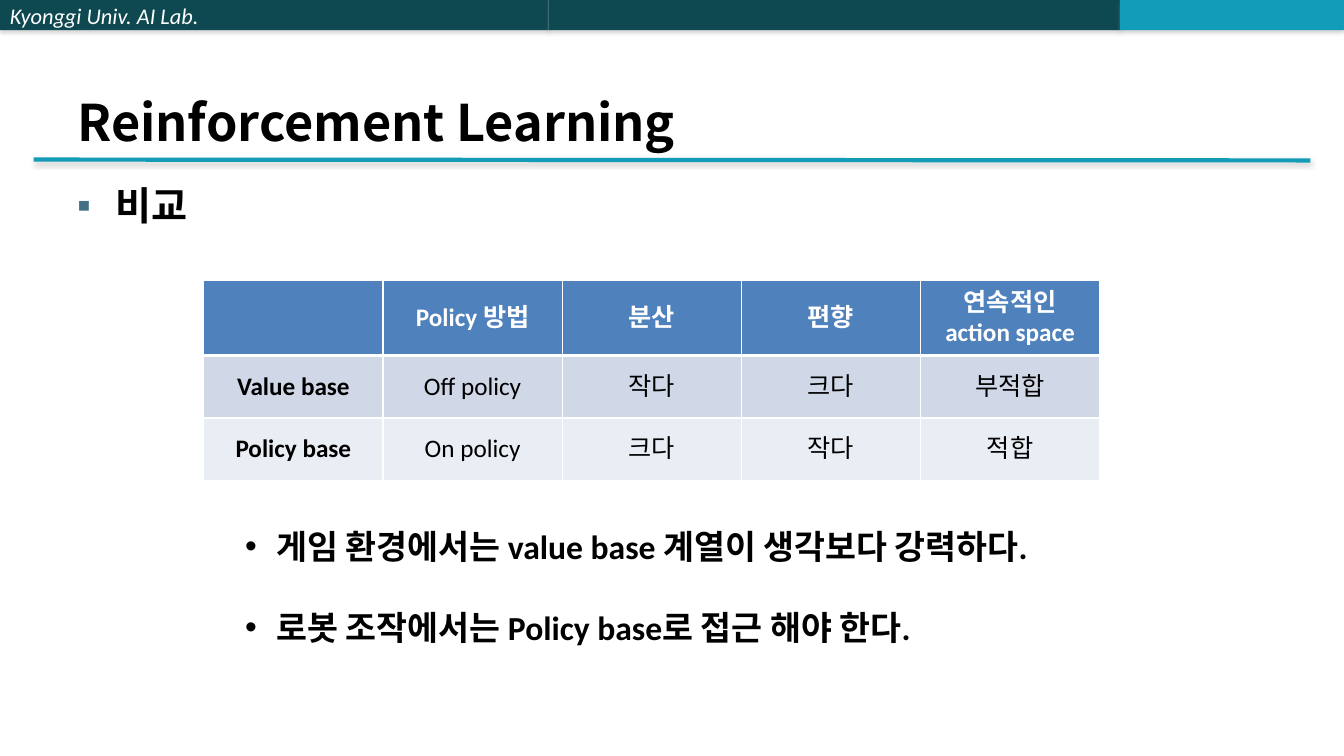
from lxml.etree import SubElement
from pptx import Presentation
from pptx.dml.color import RGBColor
from pptx.enum.shapes import MSO_CONNECTOR, MSO_SHAPE
from pptx.enum.text import MSO_ANCHOR as Anchor, PP_ALIGN as Align
from pptx.oxml.ns import qn
from pptx.util import Inches, Pt

SANS = "Calibri"
KOREAN = "Noto Sans CJK KR"
BLACK, WHITE = "000000", "FFFFFF"
DARK_TEAL, TEAL = "0E4851", "139CB7"
HEADER_BLUE, ROW_FILLS = "4F81BD", ("D0D8E8", "E9EDF4")

ROWS = [
    ["", "Policy 방법", "분산", "편향", "연속적인 action space"],
    ["Value base", "Off policy", "작다", "크다", "부적합"],
    ["Policy base", "On policy", "크다", "작다", "적합"],
]
CONCLUSIONS = [
    "게임 환경에서는 value base 계열이 생각보다 강력하다.",
    "로봇 조작에서는 Policy base로 접근 해야 한다.",
]


def color(hex_value):
    return RGBColor.from_string(hex_value)


def add_xml(parent, tag, **attributes):
    return SubElement(parent, qn(tag), attributes)


class SlideBuilder:
    """Places elements on a grid of 24 columns by 27 rows."""

    def __init__(self, presentation):
        self.column = presentation.slide_width / 24
        self.row = presentation.slide_height / 27
        self.slide = presentation.slides.add_slide(presentation.slide_layouts[5])

    def box(self, left, top, width, height):
        return (round(left * self.column), round(top * self.row),
                round(width * self.column), round(height * self.row))

    def format_runs(self, paragraph, size, ink=BLACK, font=SANS, bold=False, italic=False):
        for run in paragraph.runs:
            run.font.size = Pt(size)
            run.font.name = font
            run.font.bold = bold
            run.font.italic = italic
            run.font.color.rgb = color(ink)
            add_xml(run.font._element, "a:ea", typeface=font)

    def add_shadow(self, shape, opacity, distance):
        effects = add_xml(shape._element.spPr, "a:effectLst")
        shadow = add_xml(effects, "a:outerShdw", blurRad=str(Pt(3.1)),
                         dist=str(Pt(distance)), dir="5400000", rotWithShape="0")
        tint = add_xml(shadow, "a:srgbClr", val="808080")
        add_xml(tint, "a:alpha", val=str(opacity * 1000))

    def bar(self, left, width, fill, text=""):
        shape = self.slide.shapes.add_shape(MSO_SHAPE.RECTANGLE, *self.box(left, 0, width, 1.08))
        shape.fill.solid()
        shape.fill.fore_color.rgb = color(fill)
        shape.line.fill.background()
        self.add_shadow(shape, 35, 1.8)
        if text:
            frame = shape.text_frame
            frame.text = text
            frame.vertical_anchor = Anchor.MIDDLE
            frame.paragraphs[0].alignment = Align.LEFT
            self.format_runs(frame.paragraphs[0], 16, WHITE, italic=True)

    def rule(self, left, top, width, height):
        x, y, across, down = self.box(left, top, width, height)
        line = self.slide.shapes.add_connector(MSO_CONNECTOR.STRAIGHT, x, y, x + across, y + down)
        line.line.color.rgb = color(TEAL)
        line.line.width = Pt(3)
        self.add_shadow(line, 38, 1.6)

    def title(self, text, *place):
        shape = self.slide.shapes.title
        shape.left, shape.top, shape.width, shape.height = self.box(*place)
        frame = shape.text_frame
        frame.text = text
        frame.vertical_anchor = Anchor.BOTTOM
        frame.paragraphs[0].alignment = Align.LEFT
        self.format_runs(frame.paragraphs[0], 36, font=KOREAN, bold=True)

    def bullets(self, lines, place, size, indent, mark, font=SANS, mark_color=BLACK, gap=0):
        frame = self.slide.shapes.add_textbox(*self.box(*place)).text_frame
        frame.word_wrap = True
        frame.text = "\n".join(lines)
        for index, paragraph in enumerate(frame.paragraphs):
            if index:
                paragraph.space_before = Pt(gap)
            properties = paragraph._p.get_or_add_pPr()
            properties.set("marL", str(Inches(indent)))
            properties.set("indent", str(-Inches(indent)))
            add_xml(add_xml(properties, "a:buClr"), "a:srgbClr", val=mark_color)
            add_xml(properties, "a:buFont", typeface="Arial")
            add_xml(properties, "a:buChar", char=mark)
            self.format_runs(paragraph, size, font=font, bold=True)

    def border(self, cell, widths):
        """Draw white edges; widths are points for left, right, top, bottom."""
        properties = cell._tc.get_or_add_tcPr()
        for side, width in zip("LRTB", widths):
            edge = add_xml(properties, f"a:ln{side}", w=str(Pt(width)))
            add_xml(add_xml(edge, "a:solidFill"), "a:srgbClr", val=WHITE)

    def table(self, rows, left, top, width, heights):
        table = self.slide.shapes.add_table(
            len(rows), len(rows[0]), *self.box(left, top, width, sum(heights))).table
        for row, height in zip(table.rows, heights):
            row.height = round(height * self.row)
        for r, texts in enumerate(rows):
            for c, text in enumerate(texts):
                cell = table.cell(r, c)
                self.border(cell, (1, 1, 3 if r == 1 else 1, 3 if r == 0 else 1))
                cell.fill.solid()
                cell.fill.fore_color.rgb = color(ROW_FILLS[r - 1] if r else HEADER_BLUE)
                cell.vertical_anchor = Anchor.MIDDLE
                cell.text = text
                paragraph = cell.text_frame.paragraphs[0]
                paragraph.alignment = Align.CENTER
                self.format_runs(paragraph, 18, BLACK if r else WHITE, bold=r == 0 or c == 0)


def main():
    presentation = Presentation()
    presentation.slide_width, presentation.slide_height = Inches(13.33), Inches(7.5)
    builder = SlideBuilder(presentation)
    builder.bar(0, 9.8, DARK_TEAL, "Kyonggi Univ. AI Lab.")
    builder.bar(9.8, 10.2, DARK_TEAL)
    builder.bar(20, 4, TEAL)
    builder.rule(0.6, 5.7, 22.8, 0.03)
    builder.title("Reinforcement Learning", 1.2, 1.08, 21.6, 4.5)
    builder.bullets(["비교"], (1.2, 6.3, 21.6, 19.5), 28, 0.38, "▪", KOREAN, "437085")
    builder.table(ROWS, 3.64, 10, 16, (2.7, 2.23, 2.23))
    builder.bullets(CONCLUSIONS, (4.2, 18.6, 14.9, 4.7), 24, 0.31, "•", gap=29)
    presentation.save("out.pptx")


if __name__ == "__main__":
    main()
